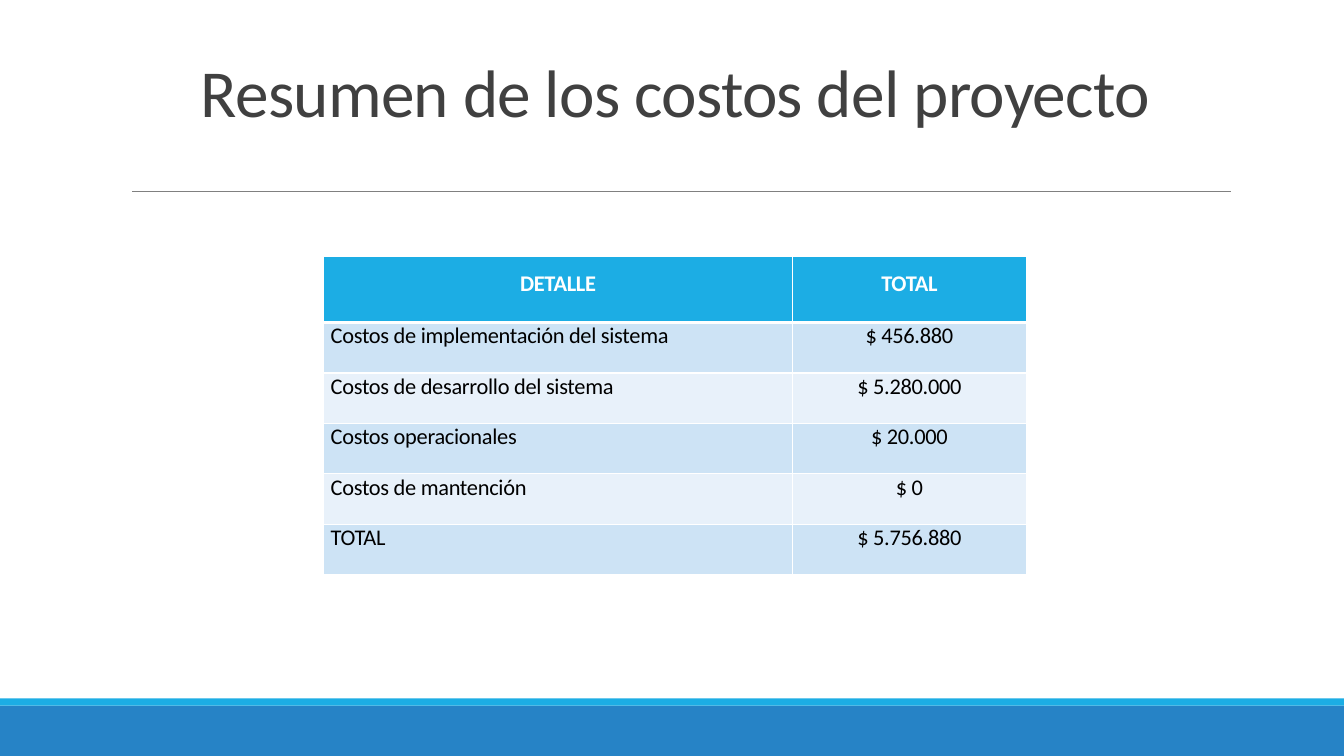
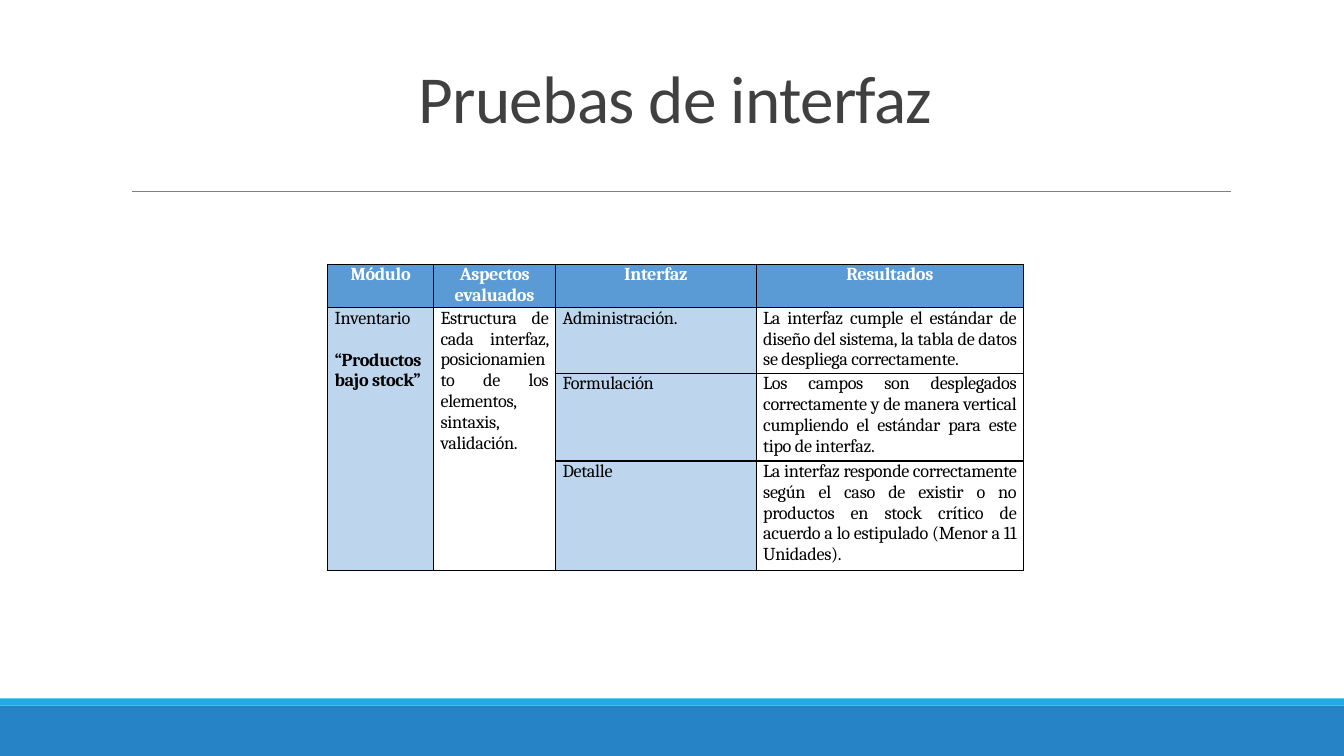
from lxml.etree import SubElement
from pptx import Presentation
from pptx.dml.color import RGBColor
from pptx.enum.shapes import MSO_CONNECTOR as Connector, MSO_SHAPE as Shape
from pptx.enum.text import MSO_ANCHOR as Anchor, PP_ALIGN as Align
from pptx.oxml import parse_xml
from pptx.oxml.ns import nsdecls, qn
from pptx.util import Inches, Pt

COLORS = {
    "band": "2683C6", "accent": "1CADE4", "rule": "808080", "title": "404040",
    "white": "FFFFFF", "black": "000000", "row_dark": "CDE3F5",
    "row_light": "E8F1FA", "test_header": "5B9BD5", "test_cell": "BDD6EE",
}


def color(name):
    return RGBColor.from_string(COLORS[name])


class Deck:
    """Holds the shared style and the current slide."""

    def __init__(self):
        self.prs = Presentation()
        self.prs.slide_width, self.prs.slide_height = Inches(13.33), Inches(7.5)
        self.slide = None

    def new_slide(self, title, title_height):
        self.slide = self.prs.slides.add_slide(self.prs.slide_layouts[6])
        self.band(7, 0.5, "band")
        self.band(6.93, 0.07, "accent")
        self.rule(1.31, 12.21, 1.9)
        self.title(title, title_height)

    def band(self, top, height, fill):
        band = self.slide.shapes.add_shape(
            Shape.RECTANGLE, 0, Inches(top), self.prs.slide_width, Inches(height))
        band.shadow.inherit = False
        band.fill.solid()
        band.fill.fore_color.rgb = color(fill)
        band.line.fill.background()

    def rule(self, left, right, y):
        rule = self.slide.shapes.add_connector(
            Connector.STRAIGHT, Inches(left), Inches(y), Inches(right), Inches(y))
        rule.line.color.rgb = color("rule")
        rule.line.width = Pt(0.5)
        SubElement(rule._element.spPr, qn("a:effectLst"))

    def title(self, text, height):
        frame = self.slide.shapes.add_textbox(
            Inches(1.2), Inches(0.31), Inches(11), Inches(height)).text_frame
        frame.word_wrap = True
        frame.vertical_anchor = Anchor.BOTTOM
        frame.text = text
        paragraph = frame.paragraphs[0]
        paragraph.line_spacing = 0.85
        self.style(paragraph, "Calibri", 48, "title", Align.CENTER, spacing=-50)

    def style(self, paragraph, font, size, ink, align, bold=False, spacing=-20):
        paragraph.alignment = align
        for run in paragraph.runs:
            run.font.name = font
            run.font.size = Pt(size)
            run.font.bold = bold
            run.font.color.rgb = color(ink)
            run._r.get_or_add_rPr().set("spc", str(spacing))

    def table(self, left, top, widths, heights):
        table = self.slide.shapes.add_table(
            len(heights), len(widths), Inches(left), Inches(top),
            Inches(sum(widths)), Inches(sum(heights))).table
        table.first_row = table.horz_banding = False
        for column, width in zip(table.columns, widths):
            column.width = Inches(width)
        for row, height in zip(table.rows, heights):
            row.height = Inches(height)
        return table

    def cell(self, cell, text, fill, border, top=1, bottom=1, **text_style):
        cell.margin_left = cell.margin_right = Inches(0.07)
        cell.margin_top = cell.margin_bottom = 0
        cell.text_frame.text = text
        for paragraph in cell.text_frame.paragraphs:
            self.style(paragraph, **text_style)
        if fill:
            cell.fill.solid()
            cell.fill.fore_color.rgb = color(fill)
        else:
            cell.fill.background()
        # Borders come before the fill in the cell properties
        sides = (("lnL", 1), ("lnR", 1), ("lnT", top), ("lnB", bottom))
        for position, (side, width) in enumerate(sides):
            cell._tc.get_or_add_tcPr().insert(position, parse_xml(
                f'<a:{side} {nsdecls("a")} w="{Pt(width)}"><a:solidFill>'
                f'<a:srgbClr val="{COLORS[border]}"/></a:solidFill></a:{side}>'))


def costs_slide(deck):
    deck.new_slide("Resumen de los costos del proyecto", 1.04)
    costs = [
        ("DETALLE", "TOTAL"),
        ("Costos de implementación del sistema", "$ 456.880"),
        ("Costos de desarrollo del sistema", "$ 5.280.000"),
        ("Costos operacionales", "$ 20.000"),
        ("Costos de mantención", "$ 0"),
        ("TOTAL", "$ 5.756.880"),
    ]
    table = deck.table(3.21, 2.54, [4.65, 2.32], [0.66] + [0.5] * 5)
    for r, entry in enumerate(costs):
        header = r == 0
        fill = "accent" if header else "row_dark" if r % 2 else "row_light"
        for c, text in enumerate(entry):
            cell = table.cell(r, c)
            deck.cell(cell, text, fill, "white",
                      top=3 if r == 1 else 1, bottom=3 if header else 1,
                      font="Calibri", size=16, bold=header,
                      ink="white" if header else "black",
                      align=Align.CENTER if header or c == 1 else Align.LEFT)
            if header:
                cell.text_frame.paragraphs[0].line_spacing = 1.5


def tests_slide(deck):
    deck.new_slide("Pruebas de interfaz", 1.1)
    tests = [
        ("Módulo", "Aspectos evaluados", "Interfaz", "Resultados"),
        ("Inventario\n“Productos bajo stock”",
         "Estructura de cada interfaz, posicionamiento de los elementos, "
         "sintaxis, validación.",
         "Administración.",
         "La interfaz cumple el estándar de diseño del sistema, la tabla de "
         "datos se despliega correctamente."),
        ("", "", "Formulación",
         "Los campos son desplegados correctamente y de manera vertical "
         "cumpliendo el estándar para este tipo de interfaz."),
        ("", "", "Detalle",
         "La interfaz responde correctamente según el caso de existir o no "
         "productos en stock crítico de acuerdo a lo estipulado (Menor a 11 "
         "Unidades)."),
    ]
    table = deck.table(3.25, 2.62, [1.05, 1.21, 1.99, 2.65],
                       [0.41, 0.62, 0.83, 1.03])
    for r, entry in enumerate(tests):
        header = r == 0
        for c, text in enumerate(entry):
            fill = "test_header" if header else "test_cell" if c % 2 == 0 else None
            deck.cell(table.cell(r, c), text, fill, "black",
                      font="Cambria", size=13, bold=header,
                      ink="white" if header else "black",
                      align=Align.CENTER if header else Align.JUSTIFY)
    # Module and aspects span all three interfaces
    for c in (0, 1):
        table.cell(1, c).merge(table.cell(3, c))
    product = table.cell(1, 0).text_frame.paragraphs[1]
    product.space_before = Pt(15)
    product.runs[0].font.bold = True


def main():
    deck = Deck()
    costs_slide(deck)
    tests_slide(deck)
    deck.prs.save("out.pptx")


if __name__ == "__main__":
    main()
